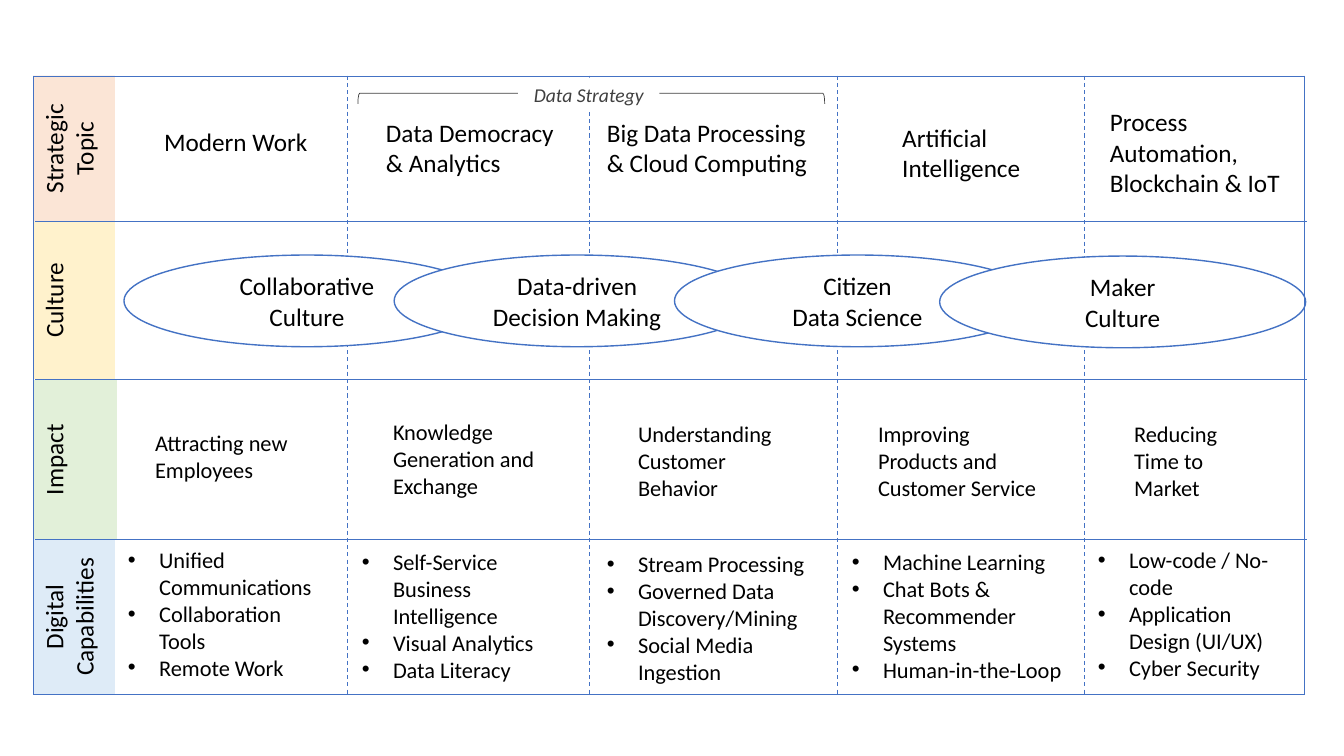
"""Build a digital strategy matrix slide of topics, cultures, impacts and capabilities."""
from dataclasses import dataclass

import pptx
import pptx.dml.color
import pptx.enum.dml
import pptx.enum.shapes
import pptx.enum.text
import pptx.oxml
import pptx.oxml.ns
import pptx.util

Inches = pptx.util.Inches
Pt = pptx.util.Pt
RGBColor = pptx.dml.color.RGBColor
Shapes = pptx.enum.shapes.MSO_SHAPE
Align = pptx.enum.text.PP_ALIGN
Anchor = pptx.enum.text.MSO_ANCHOR

BLACK = RGBColor(0x00, 0x00, 0x00)
WHITE = RGBColor(0xFF, 0xFF, 0xFF)
CHARCOAL = RGBColor(0x40, 0x40, 0x40)
BLUE = RGBColor(0x44, 0x72, 0xC4)
PEACH = RGBColor(0xFB, 0xE5, 0xD6)
CREAM = RGBColor(0xFF, 0xF2, 0xCC)
MINT = RGBColor(0xE2, 0xF0, 0xD9)
SKY = RGBColor(0xDE, 0xEB, 0xF7)

LEFT, RIGHT, TOP, BOTTOM = 0.33, 12.94, 0.75, 6.89
ROW_RULES = (2.2, 3.76, 5.35)
COLUMN_RULES = (3.45, 5.85, 8.31, 10.76)


@dataclass(frozen=True)
class Block:
    """A filled or outlined shape with optional text."""
    left: float
    top: float
    width: float
    height: float
    lines: tuple[str, ...] = ()
    fill: RGBColor | None = None
    outline: RGBColor | None = None
    outline_width: float = 1
    kind: int = Shapes.RECTANGLE
    upright: bool = False
    size: int = 18
    color: RGBColor = BLACK
    italic: bool = False
    rotation: float = 0


@dataclass(frozen=True)
class Note:
    """A left-aligned text in one matrix cell."""
    left: float
    top: float
    width: float
    height: float
    lines: tuple[str, ...]
    size: int = 16
    bulleted: bool = False


@dataclass(frozen=True)
class Rule:
    """A straight line of the matrix."""
    x1: float
    y1: float
    x2: float
    y2: float
    width: float = 0.5
    dashed: bool = False


ROW_LABELS = (
    Block(0.35, 3.77, 0.81, 1.58, fill=MINT),
    Block(LEFT, 2.2, 0.81, 1.56, fill=CREAM),
    Block(LEFT, TOP, 0.81, 1.45, ("Strategic Topic",), PEACH, upright=True),
    Block(LEFT, 2.2, 0.5, 1.56, ("Culture",), CREAM, upright=True),
    Block(LEFT, 3.77, 0.5, 1.58, ("Impact",), MINT, upright=True),
    Block(LEFT, 5.35, 0.81, 1.54, ("Digital Capabilities",), SKY, upright=True),
)
TOPICS = (
    Note(1.53, 1.2, 1.7, 0.4, ("Modern Work",), 18),
    Note(3.73, 1.11, 1.97, 0.71, ("Data Democracy & Analytics",), 18),
    Note(5.92, 1.11, 2.22, 1.01, ("Big Data Processing & Cloud Computing",), 18),
    Note(8.85, 1.16, 2.05, 0.71, ("Artificial Intelligence",), 18),
    Note(10.91, 1.01, 2.05, 1.01, ("Process Automation, Blockchain & IoT",), 18),
)
CULTURES = tuple(
    Block(left, top, 3.63, 0.91, lines, WHITE, BLUE, kind=Shapes.OVAL)
    for left, top, lines in (
        (1.23, 2.53, ("Collaborative", "Culture")),
        (3.91, 2.53, ("Data-driven", "Decision Making")),
        (6.69, 2.53, ("Citizen", "Data Science")),
        (9.32, 2.54, ("Maker", "Culture")),
    )
)
IMPACTS = (
    Note(1.44, 4.21, 1.7, 0.64, ("Attracting new Employees",)),
    Note(3.8, 4.1, 1.7, 0.91, ("Knowledge Generation and Exchange",)),
    Note(6.23, 4.12, 1.7, 0.91, ("Understanding Customer Behavior",)),
    Note(8.61, 4.12, 1.95, 0.91, ("Improving Products and Customer Service",)),
    Note(11.15, 4.12, 1.1, 0.91, ("Reducing Time to Market",)),
)
CAPABILITIES = tuple(
    Note(left, top, width, 1.45, lines, bulleted=True)
    for left, top, width, lines in (
        (1.17, 5.37, 2.21, ("Unified Communications", "Collaboration Tools", "Remote Work")),
        (3.49, 5.39, 2.33,
         ("Self-Service Business Intelligence", "Visual Analytics", "Data Literacy")),
        (5.92, 5.41, 2.34,
         ("Stream Processing", "Governed Data Discovery/Mining", "Social Media Ingestion")),
        (8.35, 5.39, 2.36,
         ("Machine Learning", "Chat Bots & Recommender Systems", "Human-in-the-Loop")),
        (10.79, 5.37, 2.12,
         ("Low-code / No-code", "Application Design (UI/UX)", "Cyber Security")),
    )
)
GRID = (
    *(Rule(0.35, y, 12.96, y) for y in ROW_RULES),
    *(Rule(x, TOP, x, BOTTOM, 0.75, True) for x in COLUMN_RULES),
)
FRAME = (
    Rule(LEFT, 0.76, RIGHT, 0.76),
    Rule(LEFT, BOTTOM, RIGHT, BOTTOM),
    *(Rule(x, TOP, x, BOTTOM) for x in (LEFT, RIGHT)),
)
DATA_STRATEGY = (
    Block(5.76, -1.39, 0.21, 4.63, outline=CHARCOAL, outline_width=0.5,
          kind=Shapes.RIGHT_BRACE, rotation=270),
    Block(5.14, 0.77, 1.4, 0.34, ("Data Strategy",), WHITE, size=14,
          color=CHARCOAL, italic=True),
)


def write_lines(frame, lines: tuple[str, ...], size: int, color: RGBColor = BLACK,
                italic: bool = False, align=Align.LEFT, bulleted: bool = False) -> None:
    """Write one paragraph per line."""
    frame.word_wrap = True
    for index, line in enumerate(lines):
        paragraph = frame.paragraphs[0] if index == 0 else frame.add_paragraph()
        paragraph.alignment = align
        if bulleted:
            properties = paragraph._p.get_or_add_pPr()
            properties.set("marL", str(Inches(0.31)))
            properties.set("indent", str(Inches(-0.31)))
            for tag, name, value in (("a:buFont", "typeface", "Arial"),
                                     ("a:buChar", "char", "•")):
                bullet = pptx.oxml.parse_xml(
                    f'<{tag} {pptx.oxml.ns.nsdecls("a")} {name}="{value}"/>')
                properties.append(bullet)
        run = paragraph.add_run()
        run.text = line
        run.font.name = "Calibri"
        run.font.size = Pt(size)
        run.font.color.rgb = color
        run.font.italic = italic


def draw_block(slide, block: Block) -> None:
    """Draw a shape with its centred text."""
    shape = slide.shapes.add_shape(block.kind, Inches(block.left), Inches(block.top),
                                   Inches(block.width), Inches(block.height))
    shape.shadow.inherit = False
    shape.rotation = block.rotation
    if block.fill is None:
        shape.fill.background()
    else:
        shape.fill.solid()
        shape.fill.fore_color.rgb = block.fill
    if block.outline is None:
        shape.line.fill.background()
    else:
        shape.line.color.rgb = block.outline
        shape.line.width = Pt(block.outline_width)
    frame = shape.text_frame
    frame.vertical_anchor = Anchor.MIDDLE if block.kind == Shapes.OVAL else Anchor.TOP
    if block.upright:
        frame._txBody.bodyPr.set("vert", "vert270")
    write_lines(frame, block.lines, block.size, block.color, block.italic, Align.CENTER)


def draw_note(slide, note: Note) -> None:
    """Draw the text of one cell."""
    cell = slide.shapes.add_textbox(Inches(note.left), Inches(note.top),
                                    Inches(note.width), Inches(note.height))
    write_lines(cell.text_frame, note.lines, note.size, bulleted=note.bulleted)


def draw_rule(slide, rule: Rule) -> None:
    """Draw one line."""
    line = slide.shapes.add_connector(
        pptx.enum.shapes.MSO_CONNECTOR.STRAIGHT,
        Inches(rule.x1), Inches(rule.y1), Inches(rule.x2), Inches(rule.y2))
    line.line.color.rgb = BLUE
    line.line.width = Pt(rule.width)
    if rule.dashed:
        line.line.dash_style = pptx.enum.dml.MSO_LINE.DASH
    line._element.spPr.append(
        pptx.oxml.parse_xml(f'<a:effectLst {pptx.oxml.ns.nsdecls("a")}/>'))


def main() -> None:
    """Build and save the slide."""
    deck = pptx.Presentation()
    deck.slide_width, deck.slide_height = Inches(13.33), Inches(7.5)
    slide = deck.slides.add_slide(deck.slide_layouts[6])
    painters = {Block: draw_block, Note: draw_note, Rule: draw_rule}
    for part in (*ROW_LABELS, *TOPICS, *GRID, *CULTURES, *IMPACTS,
                 *CAPABILITIES, *FRAME, *DATA_STRATEGY):
        painters[type(part)](slide, part)
    deck.save("out.pptx")


if __name__ == "__main__":
    main()
